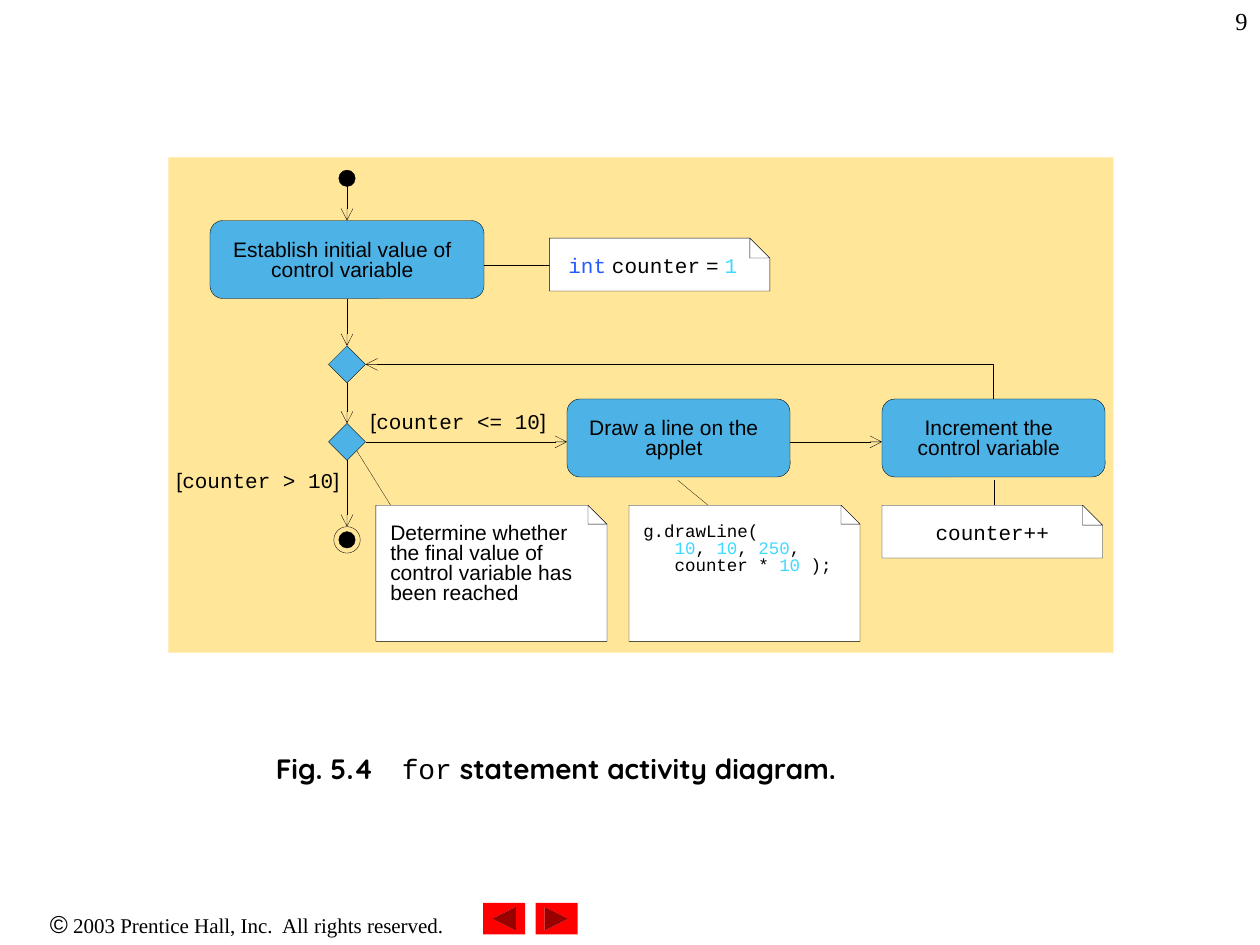
from lxml import etree
from pptx import Presentation
from pptx.dml.color import RGBColor
from pptx.enum.dml import MSO_LINE
from pptx.enum.shapes import MSO_CONNECTOR, MSO_SHAPE
from pptx.enum.text import MSO_ANCHOR, PP_ALIGN
from pptx.oxml.ns import qn
from pptx.util import Pt

BLACK = RGBColor(0x00, 0x00, 0x00)
WHITE = RGBColor(0xFF, 0xFF, 0xFF)
SAND = RGBColor(0xFF, 0xE6, 0x99)
ACTION_BLUE = RGBColor(0x4D, 0xB3, 0xE6)
KEYWORD_BLUE = RGBColor(0x27, 0x5A, 0xFF)
NUMBER_CYAN = RGBColor(0x40, 0xD9, 0xFF)
BUTTON_RED = RGBColor(0xFF, 0x00, 0x00)

LEFT, CENTER, RIGHT = PP_ALIGN.LEFT, PP_ALIGN.CENTER, PP_ALIGN.RIGHT
TOP_SITE, BOTTOM_SITE, RIGHT_SITE = 0, 2, 3
HAIRLINE = 0.2


def run(text, font="Arial", size=12, color=BLACK, bold=False):
    return text, (font, size, color, bold)


def code(text, color=BLACK, size=12):
    return run(text, "Courier New", size, color)


def small_code(text, color=BLACK):
    return code(text, color, 10)


SPACE = run(" ")

# Content: every text is a list of lines, every line a list of runs
# Actions: left, top, width, text
ACTIONS = {
    "establish": (120, 126, 156.6, "Establish initial value of control variable"),
    "draw": (324, 228, 127.5, "Draw a line on the applet"),
    "increment": (504, 228, 127.5, "Increment the control variable"),
}
# Notes: left, top, width, height, fold, side insets, alignment, lines
NOTES = [
    (313.9, 136.1, 126, 30.2, 11.4, (5.8, 13.7), CENTER,
     [[code("int", KEYWORD_BLUE), SPACE, code("counter"), SPACE, code("="), SPACE,
       code("1", NUMBER_CYAN)]]),
    (504, 288.7, 126, 30.2, 11.4, (19.4, 19.4), CENTER, [[code("counter++")]]),
    (214.8, 288.7, 132, 77.8, 10.8, (8.2, 8), LEFT,
     [[run("Determine whether the final value of control variable has been reached")]]),
    (359.4, 288.7, 132, 77.8, 10.8, (8.2, 8), LEFT,
     [[small_code("g.drawLine(")],
      [small_code("   10", NUMBER_CYAN), small_code(", "), small_code("10", NUMBER_CYAN),
       small_code(", "), small_code("250", NUMBER_CYAN), small_code(",")],
      [small_code("   counter * "), small_code("10", NUMBER_CYAN), small_code(" );")]]),
]
NOTE_LINES = [  # from an action or decision to its note
    ((276.6, 151.3), (313.9, 151.3)),
    ((204, 257.8), (223.2, 288.7)),
    ((387.4, 274.5), (404.6, 288.7)),
    ((568, 274.5), (568, 288.7)),
]
GUARDS = [
    (211.7, 236.2, 109.4, [[run("["), code("counter <= 10"), run("]")]]),
    (100.8, 270, 97.2, [[run("["), code("counter > 10"), run("]")]]),
]
# Plain texts: left, top, width, height, alignment, lines
TEXTS = [
    (0, 516.2, 282.2, 24.5, CENTER,
     [[run("©", size=14),
       run(" 2003 Prentice Hall, Inc.  All rights reserved.", "Times New Roman")]]),
    (150.5, 426.2, 450, 26.6, LEFT,
     [[run("Fig. 5.4\t", "Quicksand", 16, bold=True), code("for", size=16),
       run(" statement activity diagram.", "Quicksand", 16, bold=True)]]),
    (570.2, 0, 149.8, 36, RIGHT, [[run("9", "Times New Roman", 14)]]),
]
BUTTONS = [
    (276, MSO_SHAPE.ACTION_BUTTON_BACK_OR_PREVIOUS),
    (306, MSO_SHAPE.ACTION_BUTTON_FORWARD_OR_NEXT),
]

AXIS = 198.3  # centre line of the left column
ACTION_HEIGHT, DIAMOND, DOT, RING = 44.6, 21.2, 9.4, 15.1
START_Y, MERGE_Y, DECISION_Y, FINAL_Y = 101.9, 208.2, 252.5, 308.5

presentation = Presentation()
presentation.slide_width, presentation.slide_height = Pt(720), Pt(540)
slide = presentation.slides.add_slide(presentation.slide_layouts[6])
shapes = slide.shapes


def set_font(font, style):
    font.name, size, font.color.rgb, font.bold = style
    font.size = Pt(size)


def write(shape, lines, align=LEFT, insets=(7.2, 3.6, 7.2, 3.6), spacing=None):
    """Fill a shape with lines; insets are left, top, right, bottom."""
    frame = shape.text_frame
    frame.word_wrap = True
    frame.vertical_anchor = MSO_ANCHOR.TOP
    (frame.margin_left, frame.margin_top,
     frame.margin_right, frame.margin_bottom) = map(Pt, insets)
    for index, line in enumerate(lines):
        paragraph = frame.add_paragraph() if index else frame.paragraphs[0]
        paragraph.alignment = align
        if spacing:
            paragraph.line_spacing = spacing
        styles = {style for _, style in line}
        if len(styles) == 1:
            set_font(paragraph.font, line[0][1])
        for text, style in line:
            piece = paragraph.add_run()
            piece.text = text
            if len(styles) > 1:
                set_font(piece.font, style)


def paint(shape, fill=None, outline=BLACK):
    shape.shadow.inherit = False
    if fill is None:
        shape.fill.background()
    else:
        shape.fill.solid()
        shape.fill.fore_color.rgb = fill
    if outline is None:
        shape.line.fill.background()
    else:
        shape.line.color.rgb = outline
        shape.line.width = Pt(HAIRLINE)
    return shape


def add_preset(kind, left, top, width, height, fill=None, outline=BLACK):
    shape = shapes.add_shape(kind, Pt(left), Pt(top), Pt(width), Pt(height))
    return paint(shape, fill, outline)


def add_on_axis(kind, middle, size, fill=None):
    return add_preset(kind, AXIS - size / 2, middle - size / 2, size, size, fill)


def add_outline(points, fill=None, close=True):
    (x, y), *rest = [(Pt(x), Pt(y)) for x, y in points]
    builder = shapes.build_freeform(x, y)
    builder.add_line_segments(rest, close=close)
    return paint(builder.convert_to_shape(), fill)


def add_arrowhead(shape):
    etree.SubElement(shape.line._get_or_add_ln(), qn("a:tailEnd"), type="arrow")


def add_line(start, end, dotted=False):
    line = shapes.add_connector(MSO_CONNECTOR.STRAIGHT, *map(Pt, (*start, *end)))
    line.line.color.rgb = BLACK
    line.line.width = Pt(HAIRLINE)
    if dotted:
        line.line.dash_style = MSO_LINE.ROUND_DOT
    else:
        add_arrowhead(line)
    etree.SubElement(line._element.spPr, qn("a:effectLst"))
    return line


def add_flow_down(source, target):
    flow = add_line((AXIS, START_Y), (AXIS, FINAL_Y))
    flow.begin_connect(source, BOTTOM_SITE)
    flow.end_connect(target, TOP_SITE)


def add_note(left, top, width, height, fold, sides, align, lines):
    right, bottom = left + width, top + height
    upper, lower = (right - fold, top), (right, top + fold)
    page = add_outline([(left, top), upper, lower, (right, bottom), (left, bottom)], WHITE)
    write(page, lines, align, (sides[0], 10.8, sides[1], 0), 0.8)
    add_outline([upper, (right - fold, top + fold), lower], WHITE)


add_preset(MSO_SHAPE.RECTANGLE, 96.2, 90, 540, 283, SAND, None)

actions = {}
for name, (left, top, width, text) in ACTIONS.items():
    action = add_preset(MSO_SHAPE.ROUNDED_RECTANGLE, left, top, width, ACTION_HEIGHT, ACTION_BLUE)
    write(action, [[run(text)]], CENTER, (10, 9.7, 15.3, 0), 0.8)
    actions[name] = action

add_on_axis(MSO_SHAPE.OVAL, START_Y, DOT, BLACK)
merge = add_on_axis(MSO_SHAPE.DIAMOND, MERGE_Y, DIAMOND, ACTION_BLUE)
decision = add_on_axis(MSO_SHAPE.DIAMOND, DECISION_Y, DIAMOND, ACTION_BLUE)
final_ring = add_on_axis(MSO_SHAPE.OVAL, FINAL_Y, RING)
add_on_axis(MSO_SHAPE.OVAL, FINAL_Y, DOT, BLACK)

add_line((AXIS, START_Y), (AXIS, 126)).end_connect(actions["establish"], TOP_SITE)
add_flow_down(actions["establish"], merge)
add_flow_down(merge, decision)
add_flow_down(decision, final_ring)

decision_edge = AXIS + DIAMOND / 2
add_line((decision_edge, DECISION_Y), (324, DECISION_Y)).begin_connect(decision, RIGHT_SITE)
add_line((451.5, DECISION_Y), (504, DECISION_Y))
loop_back = add_outline([(567.75, 228), (567.75, MERGE_Y), (decision_edge, MERGE_Y)], close=False)
add_arrowhead(loop_back)

for line_start, line_end in NOTE_LINES:
    add_line(line_start, line_end, dotted=True)
for note in NOTES:
    add_note(*note)

for left, top, width, lines in GUARDS:
    guard = shapes.add_textbox(Pt(left), Pt(top), Pt(width), Pt(14.4))
    write(guard, lines, insets=(0, 0, 0, 0), spacing=0.8)
for left, top, width, height, align, lines in TEXTS:
    write(shapes.add_textbox(Pt(left), Pt(top), Pt(width), Pt(height)), lines, align)
for left, kind in BUTTONS:
    add_preset(kind, left, 516, 24, 18, BUTTON_RED, None)

presentation.save("out.pptx")
